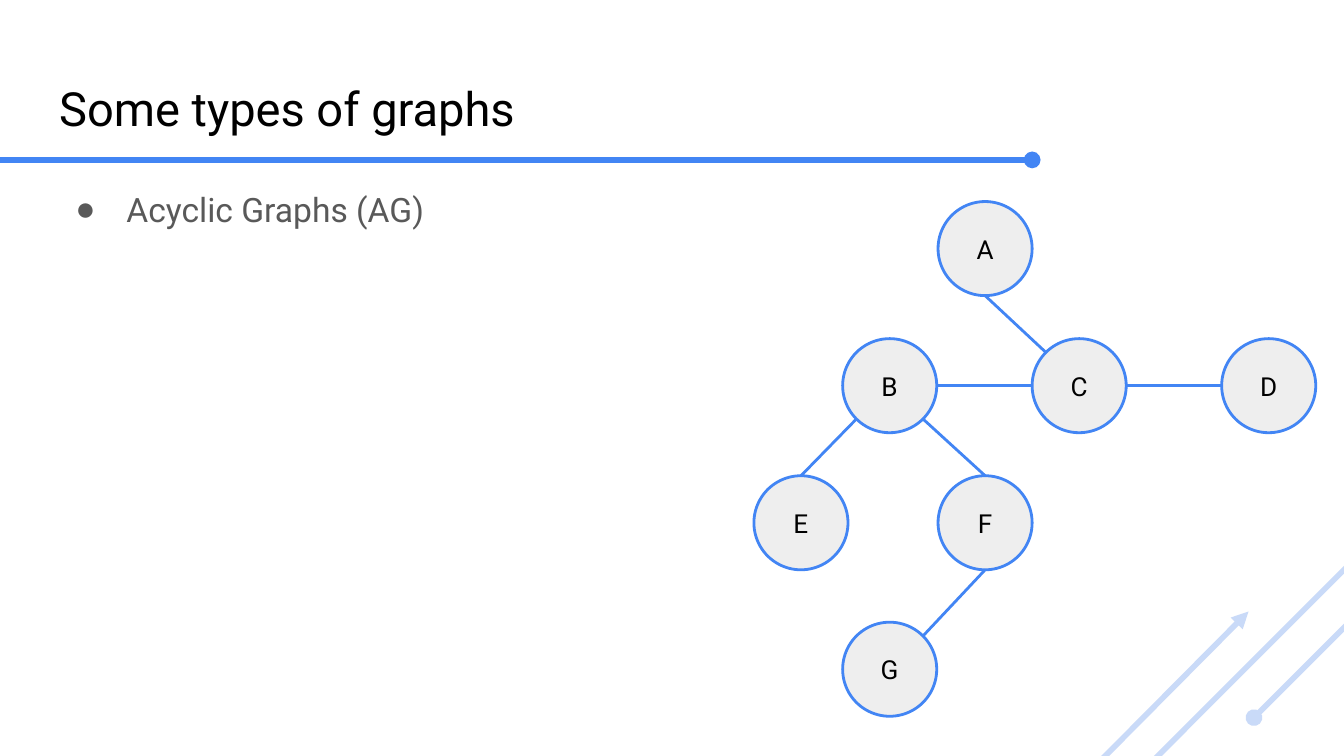
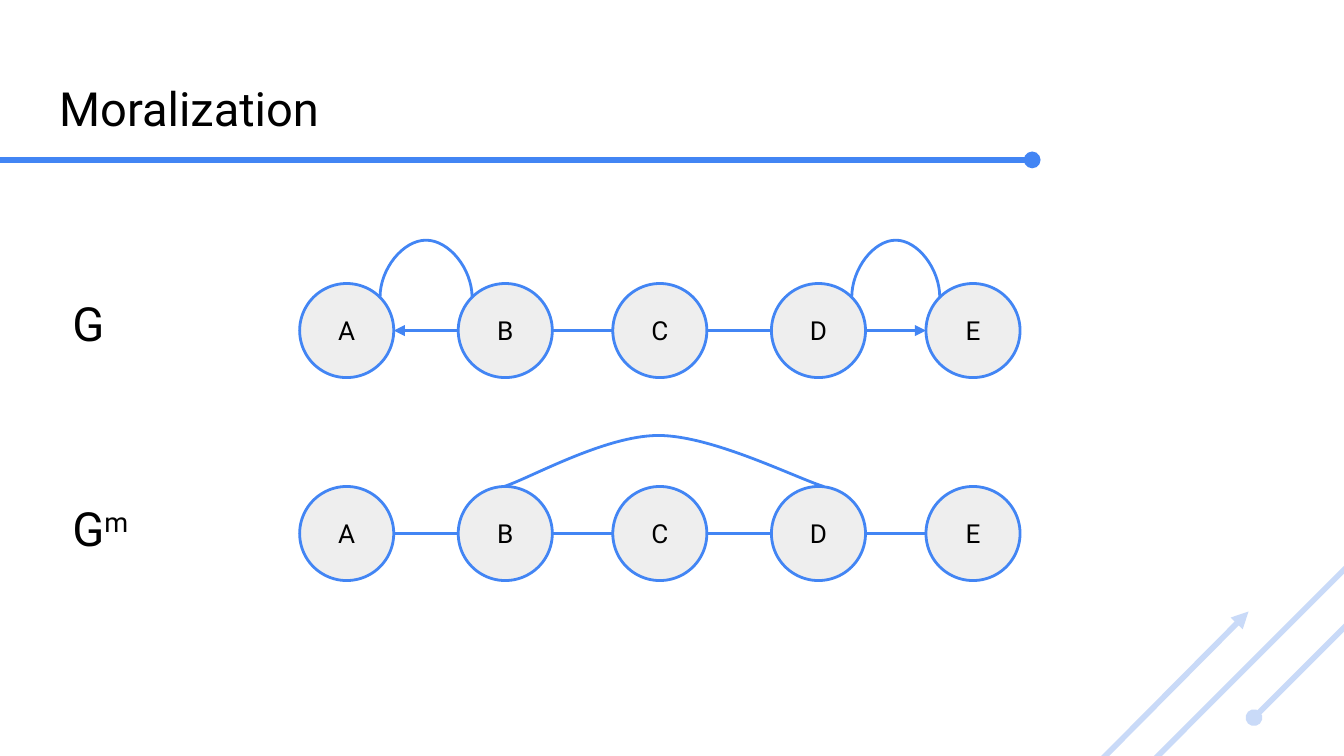
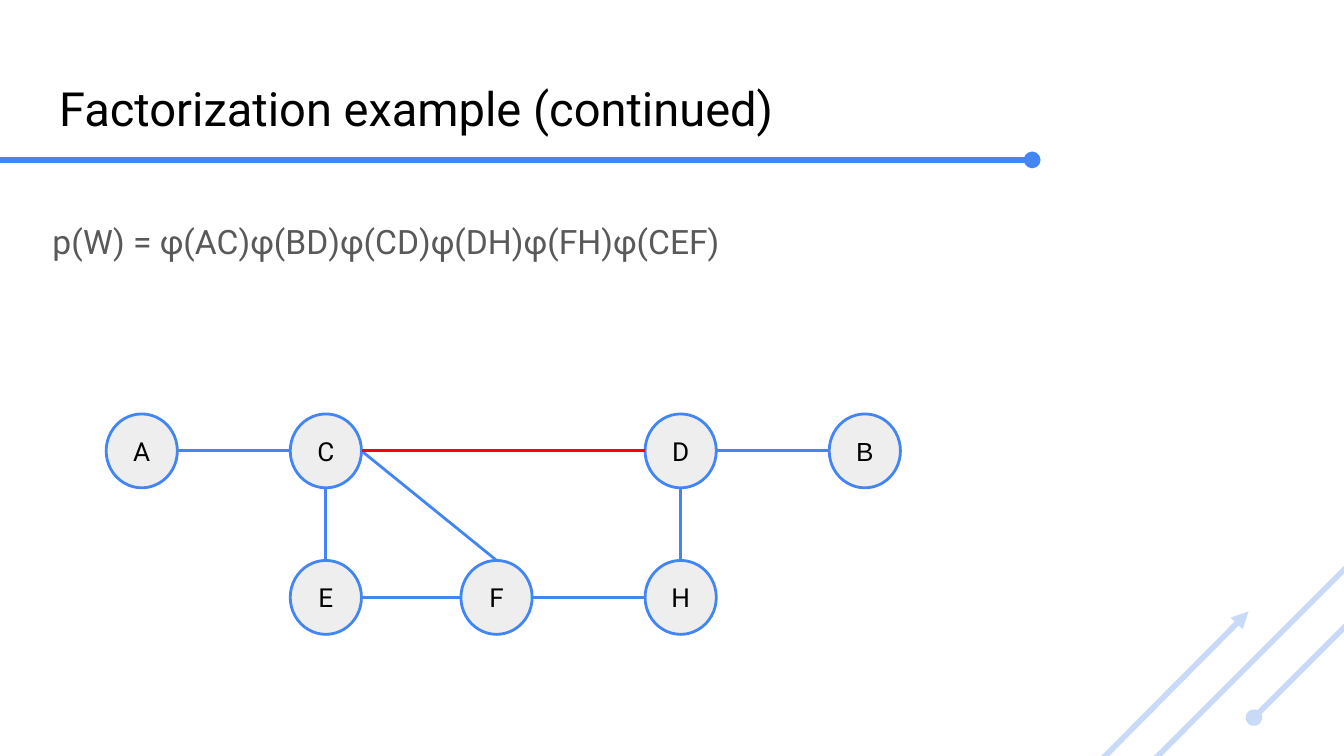
from dataclasses import dataclass
from itertools import product
from math import cos, radians, sin

from lxml import etree
from pptx import Presentation
from pptx import util as u
from pptx.dml.color import RGBColor
from pptx.enum import shapes, text
from pptx.oxml.ns import qn


@dataclass(frozen=True)
class Theme:
    font: str = "Roboto"
    ink: str = "000000"
    grey: str = "595959"
    blue: str = "4285F4"
    pale: str = "C9DAF8"
    red: str = "FF0000"
    fill: str = "EEEEEE"
    title: float = 25.2
    body: float = 18
    label: float = 14
    thin: float = 1.5
    thick: float = 3


T = Theme()
WIDE = 10
HIGH = WIDE * 9 / 16

# from, to, colour, end marks
DECOR = [
    ((-0.08, 1.19), (7.68, 1.19), T.blue, {"tail": "oval"}),
    ((9.33, 5.34), (10.42, 4.25), T.pale, {"head": "oval"}),
    ((8.34, 5.9), (10.07, 4.17), T.pale, {}),
    ((9.29, 4.55), (8.04, 5.81), T.pale, {"head": "triangle"}),
]

# A grid holds one letter per node and a dot per empty cell.
# An edge such as "A4 C1" names two nodes and their sites: 0 is the top,
# then every 45 degrees counterclockwise (2 left, 4 bottom, 6 right).
TREE = dict(
    cols=[5.61, 6.27, 6.98, 7.68, 9.09], rows=[1.5, 2.52, 3.54, 4.63],
    grid=["..A..", ".B.CD", "E.F..", ".G..."], size=(0.7, 0.7),
    edges=["B5 F0", "B3 E0", "F4 G7", "B6 C2", "A4 C1", "C6 D2"])

CHAIN = dict(cols=[2.23, 3.41, 4.56, 5.74, 6.89], grid=["ABCDE"], size=(0.7, 0.7))
MIXED = dict(CHAIN, rows=[2.11], edges=["B6 C2", "C6 D2"],
             arrows=["B2 A6", "D6 E2"], arcs=["A7 B1", "D7 E1"])
MORAL = dict(CHAIN, rows=[3.62], edges=["A6 B2", "B6 C2", "C6 D2", "D6 E2"])
BRIDGE = [(3.75, 3.62), (3.94, 3.56), (4.5, 3.24), (4.9, 3.24),
          (5.3, 3.24), (5.93, 3.56), (6.13, 3.62)]

FACTOR = dict(
    cols=[0.79, 2.16, 3.43, 4.8, 6.17], rows=[3.08, 4.17],
    grid=["AC.DB", ".EFH."], size=(0.53, 0.55), faces={"B": "Arial"},
    edges=["F2 E6", "H2 F6", "C2 A6", "E0 C4", "F0 C6", "H0 D4", "B2 D6"],
    marked=["D2 C6"])

SLIDES = [
    dict(title="Some types of graphs", graphs=[TREE],
         body=("Acyclic Graphs (AG)", (0.34, 1.26, 9.32, 3.74), "●")),
    dict(title="Moralization", graphs=[MIXED, MORAL], bridge=BRIDGE,
         names=[("G", "", 2.09), ("G", "m", 3.62)]),
    dict(title="Factorization example (continued)", graphs=[FACTOR],
         body=("p(W) = φ(AC)φ(BD)φ(CD)φ(DH)φ(FH)φ(CEF)",
               (0.29, 1.5, 9.32, 3.51), None)),
]


def rgb(code):
    return RGBColor.from_string(code)


def add(node, tag, **attrs):
    return etree.SubElement(node, qn(tag), attrs)


def place(shape, left, top, wide, high):
    shape.left, shape.top = u.Inches(left), u.Inches(top)
    shape.width, shape.height = u.Inches(wide), u.Inches(high)


def write(shape, words, size=T.label, color=T.ink, face=T.font, sup="",
          align=text.PP_ALIGN.LEFT, anchor=text.MSO_ANCHOR.TOP):
    frame = shape.text_frame
    frame.word_wrap = True
    frame.auto_size = text.MSO_AUTO_SIZE.NONE
    frame.vertical_anchor = anchor
    frame.margin_left = frame.margin_right = u.Inches(0.1)
    frame.margin_top = frame.margin_bottom = u.Inches(0.1)
    para = frame.paragraphs[0]
    para.alignment = align
    para.space_before = u.Pt(0)
    for part in filter(None, (words, sup)):
        run = para.add_run()
        run.text = part
        run.font.size, run.font.name = u.Pt(size), face
        run.font.color.rgb = rgb(color)
    if sup:
        run.font._element.set("baseline", "30000")
    return para


def stroke(shape, color=T.blue, width=T.thin):
    shape.line.color.rgb = rgb(color)
    shape.line.width = u.Pt(width)


def link(slide, start, end, color=T.blue, width=T.thin, kind="STRAIGHT", **marks):
    """Draw a connector; marks are head (at start) and tail (at end)."""
    line = slide.shapes.add_connector(
        shapes.MSO_CONNECTOR[kind], *(u.Inches(v) for v in (*start, *end)))
    stroke(line, color, width)
    props = line._element.spPr
    for end_tag in ("head", "tail"):
        if end_tag in marks:
            add(props.find(qn("a:ln")), f"a:{end_tag}End", type=marks[end_tag])
    add(props, "a:effectLst")
    return line


def site(node, index):
    turn = radians(90 + 45 * index)
    x = node.left + node.width / 2 * (1 + cos(turn))
    y = node.top + node.height / 2 * (1 - sin(turn))
    return x / u.Inches(1), y / u.Inches(1)


def arc(slide, start, end, rise=0.36, thin=0.001):
    """Curve upwards between two points of equal height."""
    mid, span = (start[0] + end[0]) / 2, end[0] - start[0]
    line = link(slide, (mid, start[1] - span / 2),
                (mid + thin, start[1] + span / 2), kind="CURVE")
    props = line._element.spPr
    frame = props.find(qn("a:xfrm"))
    frame.set("rot", "16200000")
    frame.set("flipH", "1")
    add(next(props.iter(qn("a:avLst"))), "a:gd", name="adj1",
        fmla=f"val {round(-rise / thin * 100000)}")
    return line


def join(slide, nodes, edge, draw=link, **style):
    """Draw an edge and glue both ends to their nodes."""
    ends = [(nodes[end[0]], int(end[1])) for end in edge.split()]
    line = draw(slide, *(site(*end) for end in ends), **style)
    glue = next(line._element.iter(qn("p:cNvCxnSpPr")))
    for tag, (node, index) in zip(("a:stCxn", "a:endCxn"), ends):
        add(glue, tag, id=str(node.shape_id), idx=str(index))


def graph(slide, cols, rows, grid, size, edges,
          arrows=(), arcs=(), marked=(), faces={}):
    nodes = {}
    for row, col in product(range(len(rows)), range(len(cols))):
        name = grid[row][col]
        if name == ".":
            continue
        box = (cols[col], rows[row], *size)
        node = slide.shapes.add_shape(
            shapes.MSO_SHAPE.OVAL, *(u.Inches(v) for v in box))
        node.shadow.inherit = False
        node.fill.solid()
        node.fill.fore_color.rgb = rgb(T.fill)
        stroke(node)
        write(node, name, face=faces.get(name, T.font),
              align=text.PP_ALIGN.CENTER, anchor=text.MSO_ANCHOR.MIDDLE)
        nodes[name] = node
    for edge in edges:
        join(slide, nodes, edge)
    for edge in arrows:
        join(slide, nodes, edge, tail="triangle")
    for edge in marked:
        join(slide, nodes, edge, color=T.red)
    for edge in arcs:
        join(slide, nodes, edge, draw=arc)


def curve(slide, points):
    """Draw Bezier curves: a start, then three points for each curve."""
    first, *rest = [(u.Inches(x), u.Inches(y)) for x, y in points]
    pen = slide.shapes.build_freeform(*first)
    pen.add_line_segments(rest, close=False)
    shape = pen.convert_to_shape()
    shape.shadow.inherit = False
    shape.fill.background()
    stroke(shape)
    track = next(shape._element.iter(qn("a:path")))
    steps = track.findall(qn("a:lnTo"))
    for i in range(0, len(steps), 3):
        bend = add(track, "a:cubicBezTo")
        for step in steps[i:i + 3]:
            bend.append(step[0])
            track.remove(step)


def fill_body(shape, words, box, bullet):
    place(shape, *box)
    para = write(shape, words, T.body, T.grey)
    props = para._p.get_or_add_pPr()
    left, indent = (0.5, -0.38) if bullet else (0, 0)
    props.set("marL", str(u.Inches(left)))
    props.set("indent", str(u.Inches(indent)))
    if bullet:
        add(add(props, "a:buClr"), "a:srgbClr", val=T.grey)
        add(props, "a:buChar", char=bullet)
    else:
        add(props, "a:buNone")
    para.line_spacing = 1.15


def build(deck, title, graphs, body=None, bridge=None, names=()):
    slide = deck.slides.add_slide(deck.slide_layouts[1 if body else 5])
    place(slide.shapes.title, 0.34, 0.49, 9.32, 0.63)
    write(slide.shapes.title, title, T.title)
    if body:
        fill_body(slide.placeholders[1], *body)
    for start, end, color, marks in DECOR:
        link(slide, start, end, color, T.thick, **marks)
    for item in graphs:
        graph(slide, **item)
    for name, sup, top in names:
        box = slide.shapes.add_textbox(0, 0, 0, 0)
        place(box, 0.44, top, 9.32, 0.63)
        write(box, name, T.title, sup=sup)
    if bridge:
        curve(slide, bridge)


def main():
    deck = Presentation()
    deck.slide_width, deck.slide_height = u.Inches(WIDE), u.Inches(HIGH)
    for page in SLIDES:
        build(deck, **page)
    deck.save("out.pptx")


if __name__ == "__main__":
    main()
